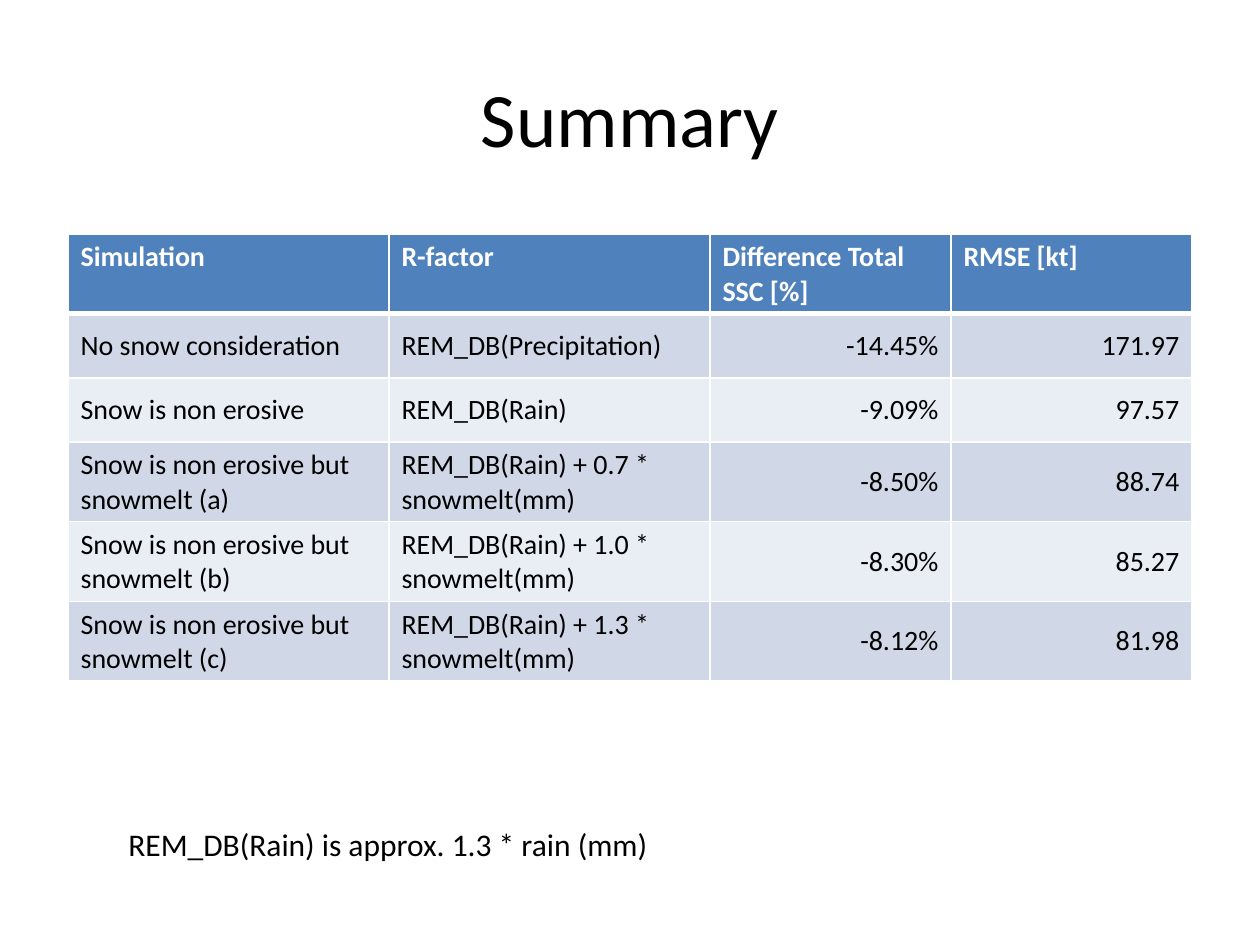
from lxml import etree
from pptx import Presentation
from pptx.dml.color import RGBColor
from pptx.enum.text import MSO_ANCHOR, PP_ALIGN
from pptx.oxml.ns import qn
from pptx.util import Pt

TOP, MIDDLE = MSO_ANCHOR.TOP, MSO_ANCHOR.MIDDLE
LEFT, CENTER, RIGHT = PP_ALIGN.LEFT, PP_ALIGN.CENTER, PP_ALIGN.RIGHT
EMU_PER_PX = 914400 / 126
WHITE, BLACK, HEADER_BLUE = "FFFFFF", "000000", "4F81BD"
BANDS = ["E9EDF4", "D0D8E8"]


def px(*lengths):
    return [round(length * EMU_PER_PX) for length in lengths]


def write(frame, text, size, color, align, bold=False):
    frame.text = text
    frame.word_wrap = True
    paragraph = frame.paragraphs[0]
    paragraph.alignment = align
    font = paragraph.runs[0].font
    font.name, font.size, font.bold = "Calibri", Pt(size), bold
    font.color.rgb = RGBColor.from_string(color)


prs = Presentation()
prs.slide_width, prs.slide_height = px(1260, 945)
slide = prs.slides.add_slide(prs.slide_layouts[6])

title = slide.shapes.add_textbox(*px(63, 38, 1134, 158)).text_frame
write(title, "Summary", 44, BLACK, CENTER)
title.vertical_anchor = MIDDLE

results = [
    ("Simulation", "R-factor", "Difference Total SSC [%]", "RMSE [kt]"),
    ("No snow consideration", "REM_DB(Precipitation)", "-14.45%", "171.97"),
    ("Snow is non erosive", "REM_DB(Rain)", "-9.09%", "97.57"),
]
for case, factor, difference, rmse in [
    ("a", "0.7", "-8.50%", "88.74"),
    ("b", "1.0", "-8.30%", "85.27"),
    ("c", "1.3", "-8.12%", "81.98"),
]:
    results.append((
        f"Snow is non erosive but snowmelt ({case})",
        f"REM_DB(Rain) + {factor} * snowmelt(mm)",
        difference,
        rmse,
    ))

summary = slide.shapes.add_table(len(results), 4, *px(68, 234, 1124, 384)).table
for column, width in zip(summary.columns, px(321, 321, 241, 241)):
    column.width = width

for r, result in enumerate(results):
    summary.rows[r].height = px(64)[0]
    is_header = r == 0
    for c, text in enumerate(result):
        cell = summary.cell(r, c)
        align = RIGHT if c >= 2 and not is_header else LEFT
        write(cell.text_frame, text, 16, WHITE if is_header else BLACK, align, is_header)
        cell.vertical_anchor = TOP if is_header else MIDDLE
        properties = cell._tc.get_or_add_tcPr()
        for side in ("lnL", "lnR", "lnT", "lnB"):
            thick = (is_header and side == "lnB") or (r == 1 and side == "lnT")
            border = etree.SubElement(properties, qn(f"a:{side}"), w=str(Pt(3 if thick else 1)))
            line_fill = etree.SubElement(border, qn("a:solidFill"))
            etree.SubElement(line_fill, qn("a:srgbClr"), val=WHITE)
        cell.fill.solid()
        cell.fill.fore_color.rgb = RGBColor.from_string(HEADER_BLUE if is_header else BANDS[r % 2])

rain_note = slide.shapes.add_textbox(*px(116, 819, 756, 50)).text_frame
write(rain_note, "REM_DB(Rain) is approx. 1.3 * rain (mm)", 18, BLACK, LEFT)

prs.save("out.pptx")
